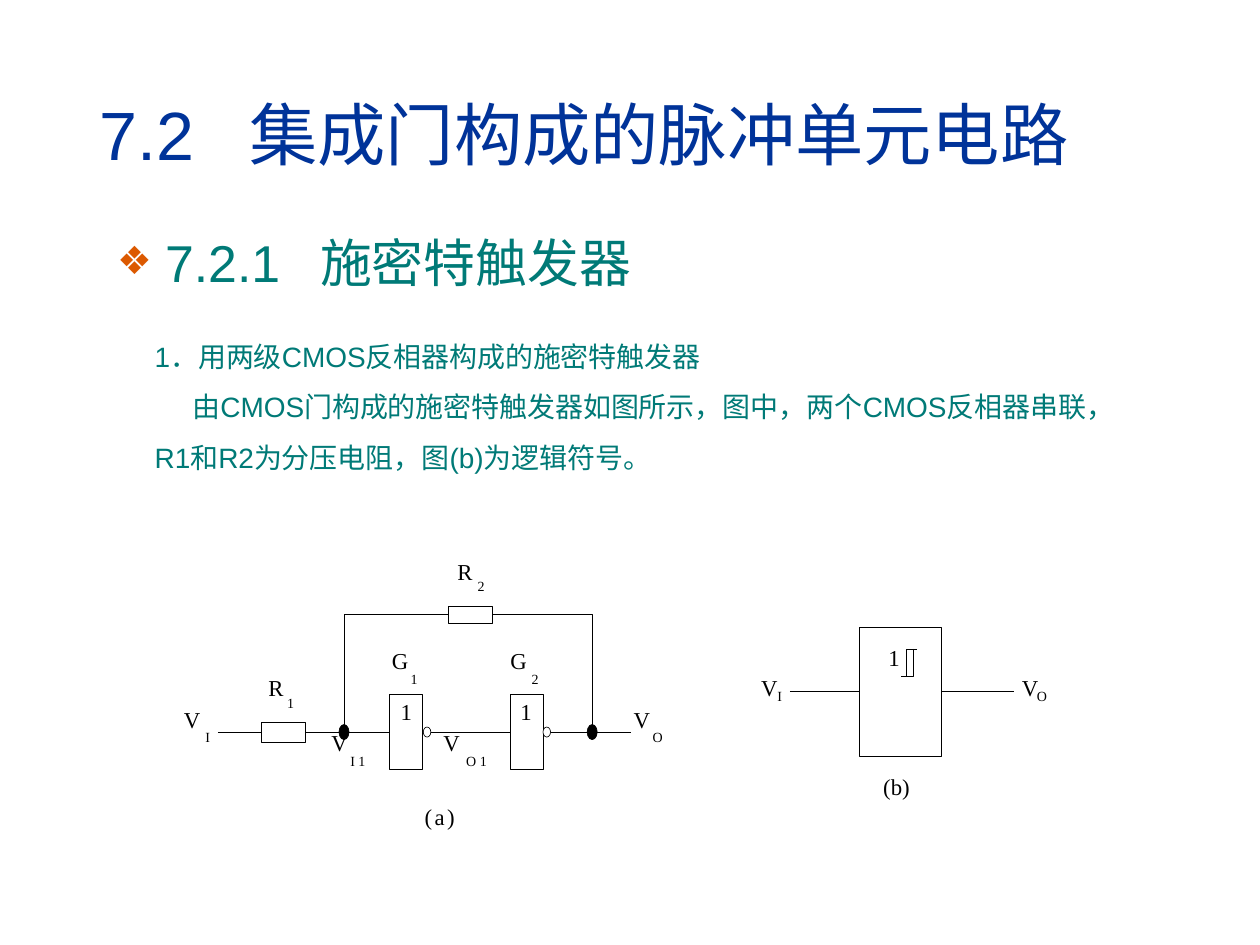
from lxml import etree
from pptx import Presentation
from pptx.dml.color import RGBColor
from pptx.enum.shapes import MSO_CONNECTOR, MSO_SHAPE
from pptx.enum.text import MSO_ANCHOR, MSO_AUTO_SIZE, PP_ALIGN
from pptx.oxml.ns import qn
from pptx.util import Emu, Pt

RECT, OVAL = MSO_SHAPE.RECTANGLE, MSO_SHAPE.OVAL
STRAIGHT = MSO_CONNECTOR.STRAIGHT
TOP, MIDDLE, BOTTOM = MSO_ANCHOR.TOP, MSO_ANCHOR.MIDDLE, MSO_ANCHOR.BOTTOM
NO_FIT = MSO_AUTO_SIZE.NONE
LEFT = PP_ALIGN.LEFT
LEFT_SIDE, RIGHT_SIDE = 1, 3
SCALE = 9144
BLACK, WHITE, BLUE, TEAL, ORANGE = "000000", "FFFFFF", "003399", "007A77", "DC5900"
SERIF, SANS = "Times New Roman", "Arial"


def px(n):
    return Emu(round(n * SCALE))


def rgb(value):
    return RGBColor.from_string(value)


def apply(obj, fmt):
    for name, value in fmt.items():
        setattr(obj, name, value)


def place(sp, box):
    apply(sp, dict(zip(("left", "top", "width", "height"), map(px, box))))


def set_frame(tf, anchor=TOP, wrap=True, margins=(0, 0, 0, 0)):
    apply(tf, {"word_wrap": wrap, "auto_size": NO_FIT, "vertical_anchor": anchor})
    names = ("margin_left", "margin_top", "margin_right", "margin_bottom")
    apply(tf, dict(zip(names, map(px, margins))))


def set_font(p, size, color, name):
    apply(p.font, {"size": Pt(size), "name": name, "bold": False})
    p.font.color.rgb = rgb(color)


def add_child(parent, tag, **attrs):
    el = etree.SubElement(parent, qn(tag))
    for name, value in attrs.items():
        el.set(name, str(value))
    return el


def add_tab(pPr, pos):
    add_child(add_child(pPr, "a:tabLst"), "a:tab", pos=px(pos), algn="l")


def set_line(line, color=BLACK):
    line.color.rgb = rgb(color)
    line.width = Pt(0.37)


def add_box(s, kind, origin, box, fill=WHITE):
    x, y, w, h = box
    sp = s.shapes.add_shape(kind, *map(px, (origin[0] + x, origin[1] + y, w, h)))
    sp.shadow.inherit = False
    sp.fill.solid()
    sp.fill.fore_color.rgb = rgb(fill)
    set_line(sp.line)
    return sp


def add_wire(s, origin, y, x1, x2, begin=None, end=None):
    ends = (origin[0] + x1, origin[1] + y, origin[0] + x2, origin[1] + y)
    cn = s.shapes.add_connector(STRAIGHT, *map(px, ends))
    set_line(cn.line)
    add_child(cn._element.spPr, "a:effectLst")
    if begin is not None:
        cn.begin_connect(begin, RIGHT_SIDE)
    if end is not None:
        cn.end_connect(end, LEFT_SIDE)


def add_path(s, origin, points):
    pts = [(origin[0] + x, origin[1] + y) for x, y in points]
    fb = s.shapes.build_freeform(*pts[0], scale=SCALE)
    fb.add_line_segments(pts[1:], close=False)
    sp = fb.convert_to_shape()
    sp.shadow.inherit = False
    sp.fill.background()
    set_line(sp.line)


def add_label(s, origin, x, y, text, size=13, spacing=0):
    w, h = (22 if len(text) > 1 else 13), (22 if size == 13 else 13)
    sp = s.shapes.add_textbox(*map(px, (origin[0] + x, origin[1] + y, w, h)))
    set_frame(sp.text_frame, wrap=False)
    p = sp.text_frame.paragraphs[0]
    r = p.add_run()
    r.text = text
    set_font(r, size, BLACK, SERIF)
    if spacing:
        r.font._element.set("spc", str(spacing))


def add_symbol(s, origin, x, y, text, sub, dx, dy, spacing=0):
    add_label(s, origin, x, y, text)
    add_label(s, origin, x + dx, y + dy, sub, 8, spacing)


def add_title(s, box):
    sp = s.shapes.title
    place(sp, box)
    tf = sp.text_frame
    set_frame(tf, BOTTOM, margins=(83, 5, 0, 0))
    p = tf.paragraphs[0]
    p.text = "7.2\t集成门构成的脉冲单元电路"
    p.alignment = LEFT
    add_tab(p._p.get_or_add_pPr(), 119)
    set_font(p, 39, BLUE, SANS)


def add_heading(s, box):
    sp = s.placeholders[1]
    place(sp, box)
    tf = sp.text_frame
    set_frame(tf, margins=(10, 5, 10, 5))
    p = tf.paragraphs[0]
    p.text = "7.2.1\t施密特触发器"
    p.space_before = Pt(0)
    pPr = p._p.get_or_add_pPr()
    pPr.set("marL", str(px(38)))
    pPr.set("indent", str(px(-38)))
    add_child(add_child(pPr, "a:buClr"), "a:srgbClr", val=ORANGE)
    add_child(pPr, "a:buSzPct", val=75000)
    add_child(pPr, "a:buChar", char="❖")
    add_tab(pPr, 161)
    set_font(p, 29.6, TEAL, SANS)


def add_intro(s, box):
    tf = s.shapes.add_textbox(*map(px, box)).text_frame
    set_frame(tf, MIDDLE, margins=(10, 5, 10, 5))
    lines = [("1．用两级CMOS反相器构成的施密特触发器", 0),
             ("由CMOS门构成的施密特触发器如图所示，图中，两个CMOS反相器串联，"
              "R1和R2为分压电阻，图(b)为逻辑符号。", 30)]
    for i, (text, indent) in enumerate(lines):
        p = tf.add_paragraph() if i else tf.paragraphs[0]
        p.text = text
        p.line_spacing = 1.5
        p._p.get_or_add_pPr().set("indent", str(px(indent)))
        set_font(p, 16, TEAL, SANS)


def add_circuit(s, origin):
    y = 138
    r1 = add_box(s, RECT, origin, (61, y - 8, 35, 16))
    add_box(s, RECT, origin, (210, 38, 35, 14))
    g1, g2 = [add_box(s, RECT, origin, (x, y - 30, 26, 60)) for x in (163, 259)]
    add_wire(s, origin, y, 27, 61, end=r1)
    add_wire(s, origin, y, 96, 163, r1, g1)
    add_wire(s, origin, y, 195, 259, end=g2)
    add_wire(s, origin, y, 291, 355)
    for start, node in ((210, 127), (245, 324)):
        add_path(s, origin, [(start, 45), (node, 45), (node, y)])
        add_box(s, OVAL, origin, (node - 4, y - 6, 8, 12), BLACK)
    for x in (190, 285):
        add_box(s, OVAL, origin, (x, y - 4, 6, 8))
    for x in (172, 267):
        add_label(s, origin, x, 111, "1")
    for symbol in ((67, 92, "R", "1", 15, 16), (217, 0, "R", "2", 16, 15),
                   (165, 70, "G", "1", 15, 19), (259, 70, "G", "2", 17, 19),
                   (0, 117, "V", "I", 17, 18), (357, 117, "V", "O", 15, 18),
                   (117, 135, "V", "I1", 15, 19, 200),
                   (206, 135, "V", "O1", 18, 19, 200)):
        add_symbol(s, origin, *symbol)
    add_label(s, origin, 191, 194, "(a)", spacing=140)


def add_logic_symbol(s, origin):
    body = add_box(s, RECT, origin, (78, 0, 65, 102))
    add_wire(s, origin, 51, 23, 78, end=body)
    add_wire(s, origin, 51, 143, 201, begin=body)
    add_path(s, origin, [(124, 17), (115, 17), (115, 39), (111, 39)])
    add_path(s, origin, [(121, 17), (121, 39), (111, 39)])
    add_symbol(s, origin, 0, 37, "V", "I", 13, 11)
    add_symbol(s, origin, 207, 37, "V", "O", 12, 11)
    add_label(s, origin, 101, 13, "1")
    add_label(s, origin, 97, 115, "(b)")


def main():
    prs = Presentation()
    apply(prs, {"slide_width": px(1000), "slide_height": px(750)})
    s = prs.slides.add_slide(prs.slide_layouts[1])
    add_title(s, (-4, 60, 934, 78))
    add_heading(s, (83, 178, 482, 60))
    add_intro(s, (113, 251, 764, 130))
    add_circuit(s, (146, 443))
    add_logic_symbol(s, (604, 498))
    prs.save("out.pptx")


if __name__ == "__main__":
    main()
